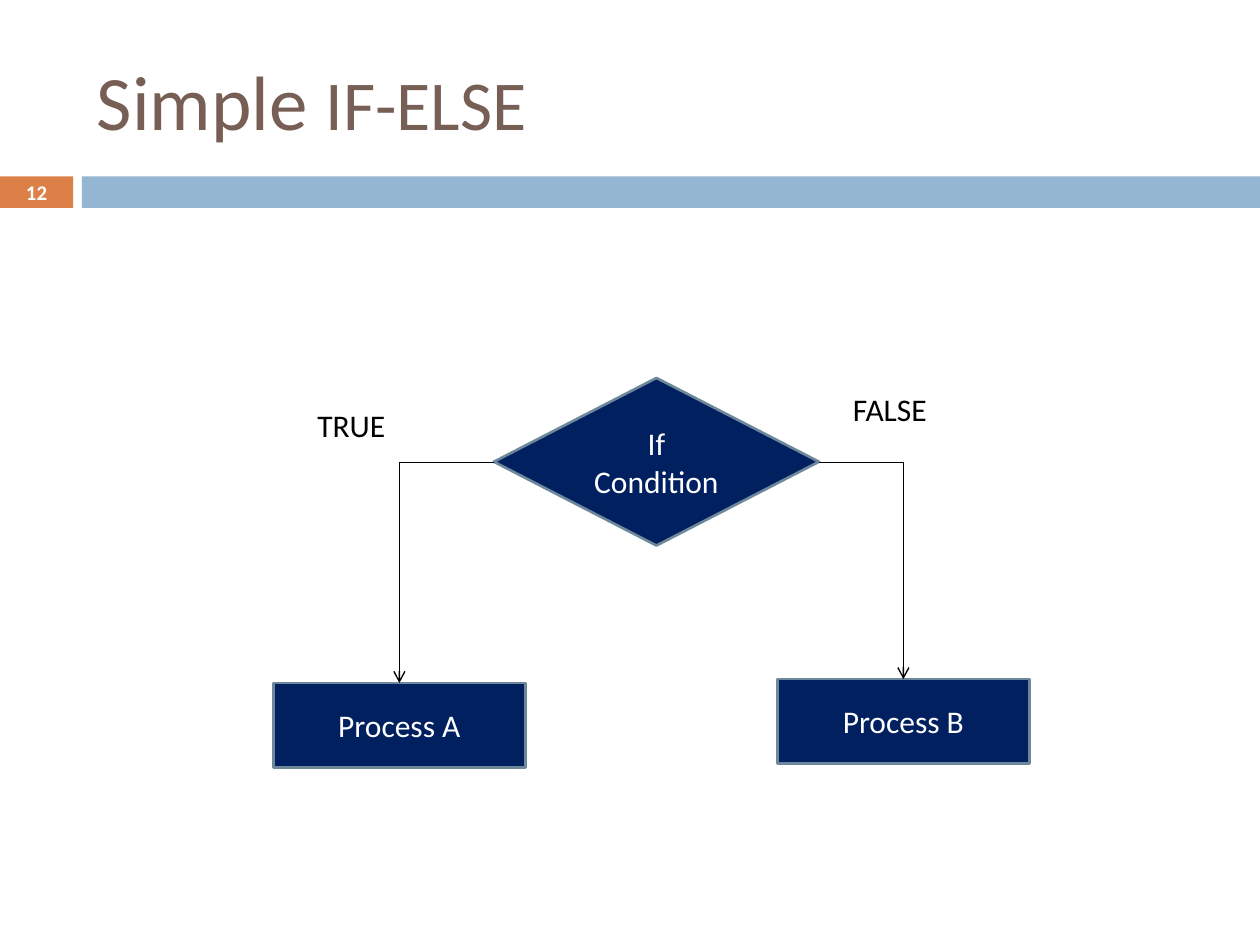
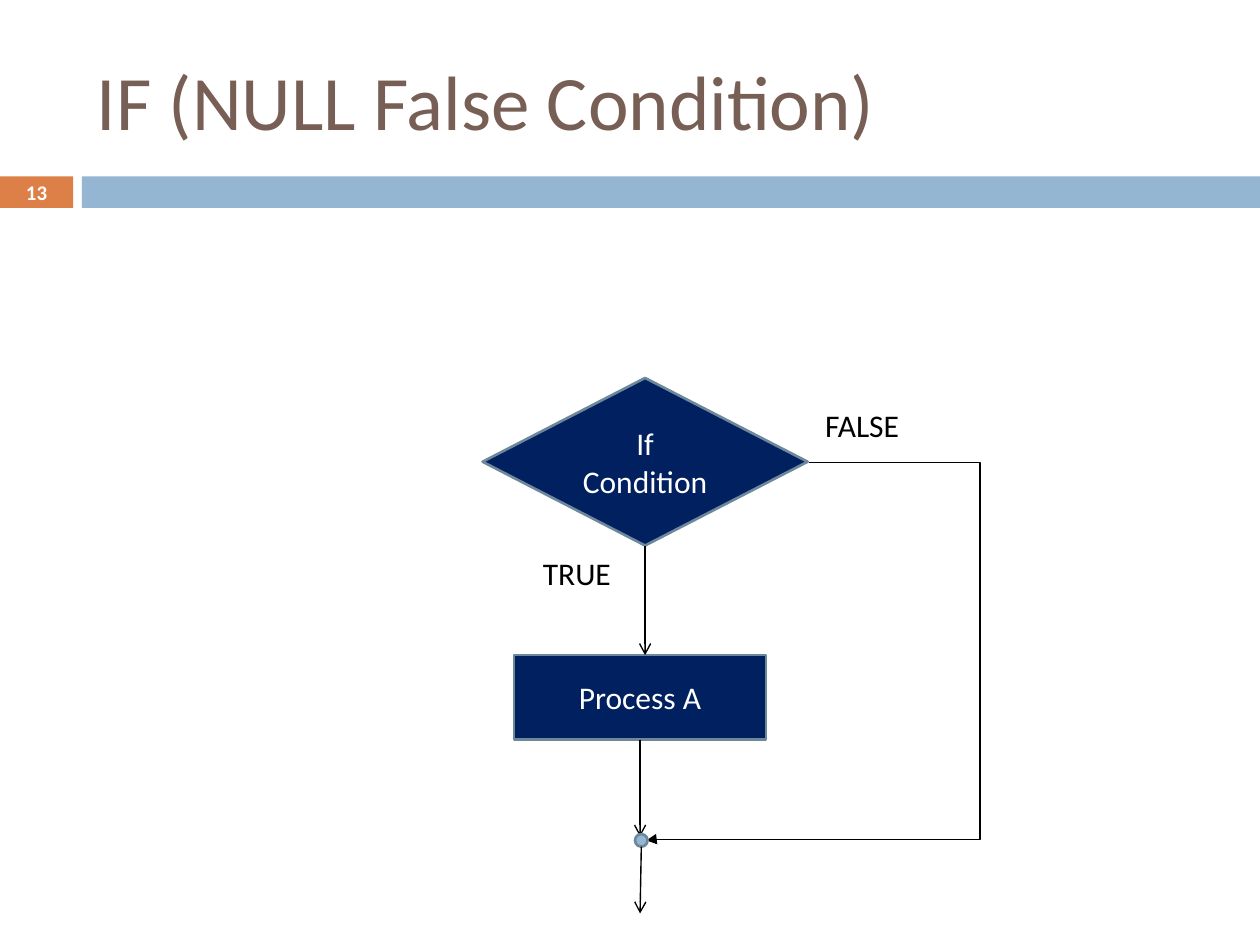
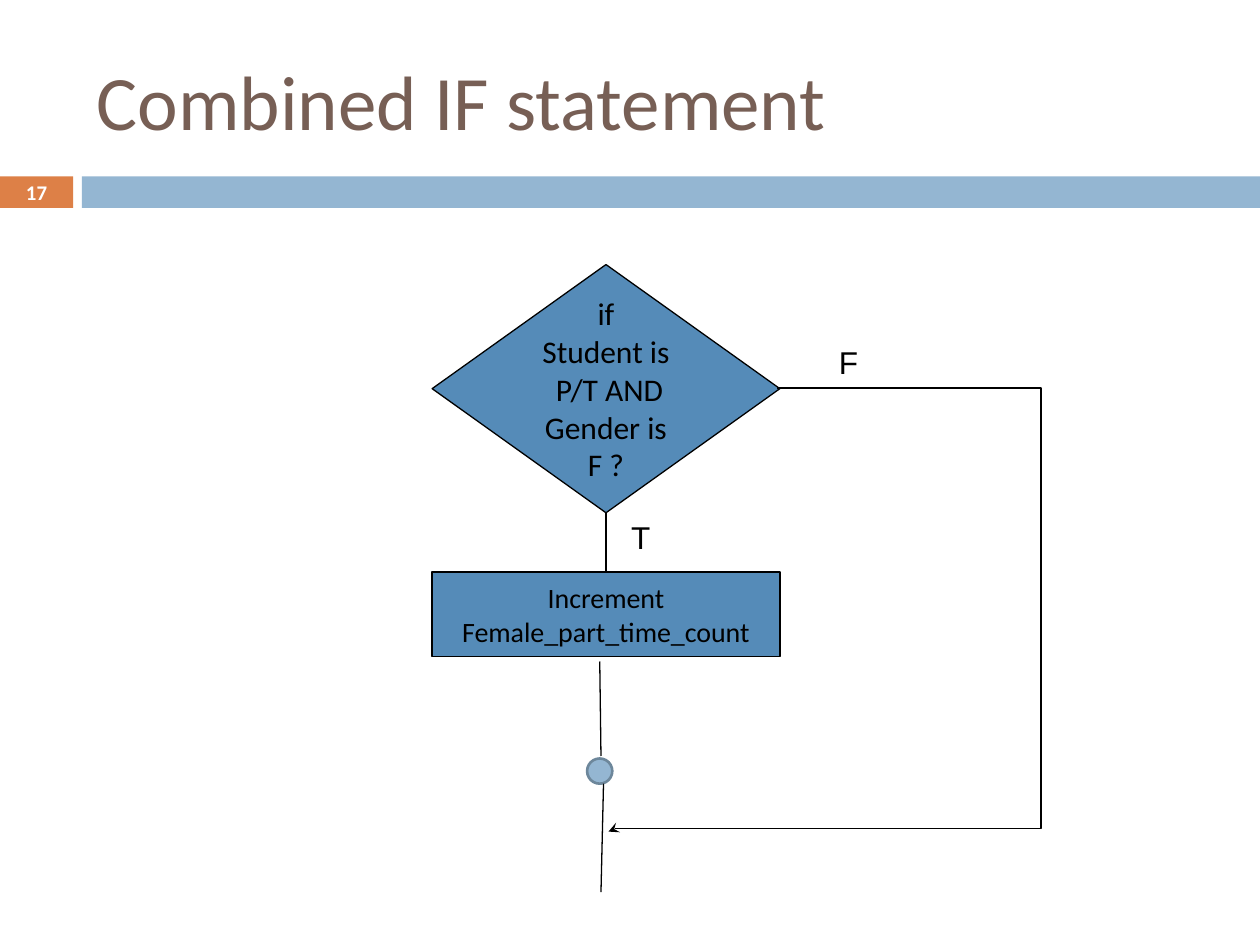
from dataclasses import dataclass
from typing import Optional

import lxml.etree
import pptx
import pptx.dml.color
import pptx.enum.shapes
import pptx.enum.text
import pptx.oxml.ns
import pptx.shapes.autoshape
import pptx.shapes.connector
import pptx.slide
import pptx.util

RGBColor = pptx.dml.color.RGBColor
Inches = pptx.util.Inches
Pt = pptx.util.Pt
Kind = pptx.enum.shapes.MSO_SHAPE
Link = pptx.enum.shapes.MSO_CONNECTOR
Align = pptx.enum.text.PP_ALIGN
Anchor = pptx.enum.text.MSO_ANCHOR
Slide = pptx.slide.Slide
Shape = pptx.shapes.autoshape.Shape

ORANGE = RGBColor(0xDD, 0x80, 0x47)
SKY = RGBColor(0x94, 0xB6, 0xD2)
BROWN = RGBColor(0x77, 0x5F, 0x55)
NAVY = RGBColor(0x00, 0x20, 0x60)
SLATE = RGBColor(0x6D, 0x87, 0x9B)
STEEL = RGBColor(0x55, 0x8B, 0xB8)
BLACK = RGBColor(0x00, 0x00, 0x00)
WHITE = RGBColor(0xFF, 0xFF, 0xFF)

TITLE = {"name": "Calibri", "size": Pt(44), "color": BROWN}
SMALL = TITLE | {"size": Pt(40)}
NUMBER = {"name": "Calibri", "size": Pt(11.9), "color": WHITE, "bold": True}
LIGHT = {"name": "Calibri", "size": Pt(18), "color": WHITE}
DARK = LIGHT | {"color": BLACK}
NOTE = DARK | {"size": Pt(16)}
LETTER = DARK | {"name": "Arial"}

Run = tuple[str, dict]
Point = tuple[float, float]


@dataclass(frozen=True)
class Box:
    left: float
    top: float
    width: float
    height: float


@dataclass(frozen=True)
class Style:
    fill: RGBColor
    edge: Optional[RGBColor] = None
    weight: float = 0.75
    font: Optional[dict] = None
    wrap: bool = True


DEEP = Style(NAVY, SLATE, 1.5, LIGHT)
PALE = Style(STEEL, BLACK, 0.75, DARK, wrap=False)
BRIEF = Style(STEEL, BLACK, 0.75, NOTE, wrap=False)
JOINT = Style(SKY, SLATE, 1.5)


def place(box: Box) -> list[int]:
    return [Inches(side) for side in (box.left, box.top, box.width, box.height)]


def write(shape: Shape, lines: list[list[Run]], align: Align,
          anchor: Anchor, wrap: bool = True) -> None:
    frame = shape.text_frame
    for key, value in {"word_wrap": wrap, "vertical_anchor": anchor}.items():
        setattr(frame, key, value)
    for index, runs in enumerate(lines):
        para = frame.add_paragraph() if index else frame.paragraphs[0]
        para.alignment = align
        for text, look in runs:
            run = para.add_run()
            run.text = text
            for key, value in look.items():
                if key == "color":
                    run.font.color.rgb = value
                else:
                    setattr(run.font, key, value)


def label(slide: Slide, box: Box, runs: list[Run], align: Align = Align.LEFT,
          anchor: Anchor = Anchor.TOP, wrap: bool = True) -> None:
    write(slide.shapes.add_textbox(*place(box)), [runs], align, anchor, wrap)


def draw(slide: Slide, kind: Kind, box: Box, style: Style, *lines: str) -> Shape:
    shape = slide.shapes.add_shape(kind, *place(box))
    shape.shadow.inherit = False
    shape.fill.solid()
    shape.fill.fore_color.rgb = style.fill
    if style.edge is None:
        shape.line.fill.background()
    else:
        shape.line.color.rgb = style.edge
        shape.line.width = Pt(style.weight)
    if lines:
        write(shape, [[(text, style.font)] for text in lines],
              Align.CENTER, Anchor.MIDDLE, style.wrap)
    return shape


def join(slide: Slide, start: Point, end: Point, head: str = "",
         weight: float = 0.79,
         kind: Link = Link.STRAIGHT) -> pptx.shapes.connector.Connector:
    """Draw a black line, with an arrowhead at its end if head names one."""
    line = slide.shapes.add_connector(
        kind, *(Inches(value) for value in (*start, *end)))
    line.line.color.rgb = BLACK
    line.line.width = Pt(weight)
    tag = pptx.oxml.ns.qn
    if head:
        edge = line.element.spPr.find(tag("a:ln"))
        lxml.etree.SubElement(edge, tag("a:tailEnd"), type=head)
    lxml.etree.SubElement(line.element.spPr, tag("a:effectLst"))
    return line


def bend(slide: Slide, start: Point, end: Point, head: str,
         turns: tuple[int, ...] = (), weight: float = 0.79) -> None:
    """Draw an elbow; turns are its bend places in thousandths of a percent."""
    line = join(slide, start, end, head, weight, Link.ELBOW)
    tag = pptx.oxml.ns.qn
    form = line.element.spPr.find(tag("a:prstGeom"))
    form.set("prst", f"bentConnector{len(turns) + 2}")
    guides = form.find(tag("a:avLst"))
    for index, turn in enumerate(turns, 1):
        lxml.etree.SubElement(guides, tag("a:gd"), name=f"adj{index}",
                              fmla=f"val {turn}")


def begin(deck: pptx.presentation.Presentation, number: int,
          *title: Run) -> Slide:
    """Add a slide with its bands, title and number."""
    slide = deck.slides.add_slide(deck.slide_layouts[6])
    draw(slide, Kind.RECTANGLE, Box(0, 1.4, 0.58, 0.25), Style(ORANGE))
    draw(slide, Kind.RECTANGLE, Box(0.65, 1.4, 9.35, 0.25), Style(SKY))
    label(slide, Box(0.67, 0.25, 8.92, 1.08), list(title), anchor=Anchor.MIDDLE)
    label(slide, Box(0, 1.39, 0.58, 0.27), [(str(number), NUMBER)],
          Align.CENTER, Anchor.MIDDLE)
    return slide


def choice(slide: Slide, left: float) -> Shape:
    return draw(slide, Kind.FLOWCHART_DECISION, Box(left, 3, 2.58, 1.33), DEEP,
                "If", "Condition")


def process(slide: Slide, left: float, top: float, name: str) -> Shape:
    return draw(slide, Kind.RECTANGLE, Box(left, top, 2, 0.67), DEEP, name)


def simple(deck: pptx.presentation.Presentation) -> None:
    slide = begin(deck, 12, ("Simple ", TITLE), ("IF-ELSE", SMALL))
    choice(slide, 3.92)
    process(slide, 2.17, 5.42, "Process A")
    process(slide, 6.17, 5.39, "Process B")
    bend(slide, (6.5, 3.67), (7.17, 5.39), "arrow")
    bend(slide, (3.92, 3.67), (3.17, 5.42), "arrow")
    label(slide, Box(2.42, 3.17, 1.25, 0.4), [("TRUE", DARK)])
    label(slide, Box(6.67, 3.05, 1.25, 0.4), [("FALSE", DARK)])


def null(deck: pptx.presentation.Presentation) -> None:
    slide = begin(deck, 13, ("IF (NULL False Condition)", TITLE))
    test = choice(slide, 3.83)
    step = process(slide, 4.08, 5.2, "Process A")
    join(slide, (5.08, 5.87), (5.08, 6.64), "arrow").begin_connect(step, 2)
    join(slide, (5.12, 4.33), (5.12, 5.2), "arrow").begin_connect(test, 2)
    label(slide, Box(4.21, 4.35, 1.25, 0.3), [("TRUE", DARK)])
    label(slide, Box(6.45, 3.17, 1.25, 0.4), [("FALSE", DARK)])
    bend(slide, (6.42, 3.67), (5.13, 6.67), "triangle", (-105400, 99700))
    draw(slide, Kind.FLOWCHART_CONNECTOR, Box(5.04, 6.62, 0.1, 0.1), JOINT)
    join(slide, (5.09, 6.72), (5.08, 7.25), "arrow")


def combined(deck: pptx.presentation.Presentation) -> None:
    slide = begin(deck, 17, ("Combined IF statement", TITLE))
    test = draw(slide, Kind.FLOWCHART_DECISION, Box(3.43, 2.1, 2.76, 1.97), PALE,
                "if", "Student is", " P/T AND", "Gender is", "F ?")
    step = draw(slide, Kind.FLOWCHART_PROCESS, Box(3.43, 4.54, 2.76, 0.67), BRIEF,
                "Increment", "Female_part_time_count")
    line = join(slide, (4.81, 4.07), (4.81, 4.54), weight=0.75)
    line.begin_connect(test, 2)
    line.end_connect(step, 0)
    bend(slide, (6.17, 3.08), (4.83, 6.6), "stealth", (-156200, 99300), 0.75)
    join(slide, (4.76, 5.25), (4.77, 6), weight=0.75)
    label(slide, Box(4.91, 4.06, 0.35, 0.4), [("T", LETTER)], wrap=False)
    label(slide, Box(6.56, 2.67, 0.35, 0.4), [("F", LETTER)], wrap=False)
    draw(slide, Kind.FLOWCHART_CONNECTOR, Box(4.66, 6.02, 0.2, 0.2), JOINT)
    join(slide, (4.79, 6.22), (4.77, 7.08), weight=0.75)


def main() -> None:
    deck = pptx.Presentation()
    deck.slide_width, deck.slide_height = Inches(10), Inches(7.5)
    for build in (simple, null, combined):
        build(deck)
    deck.save("out.pptx")


if __name__ == "__main__":
    main()
